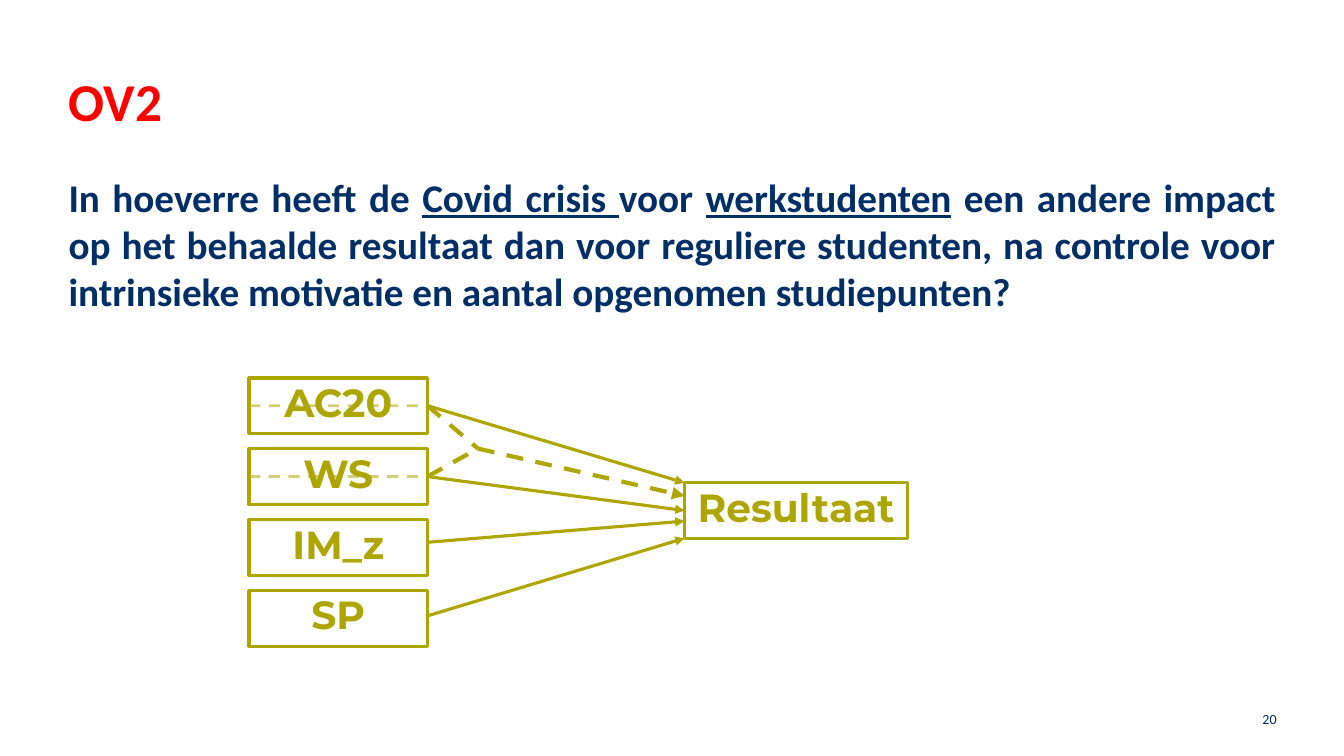
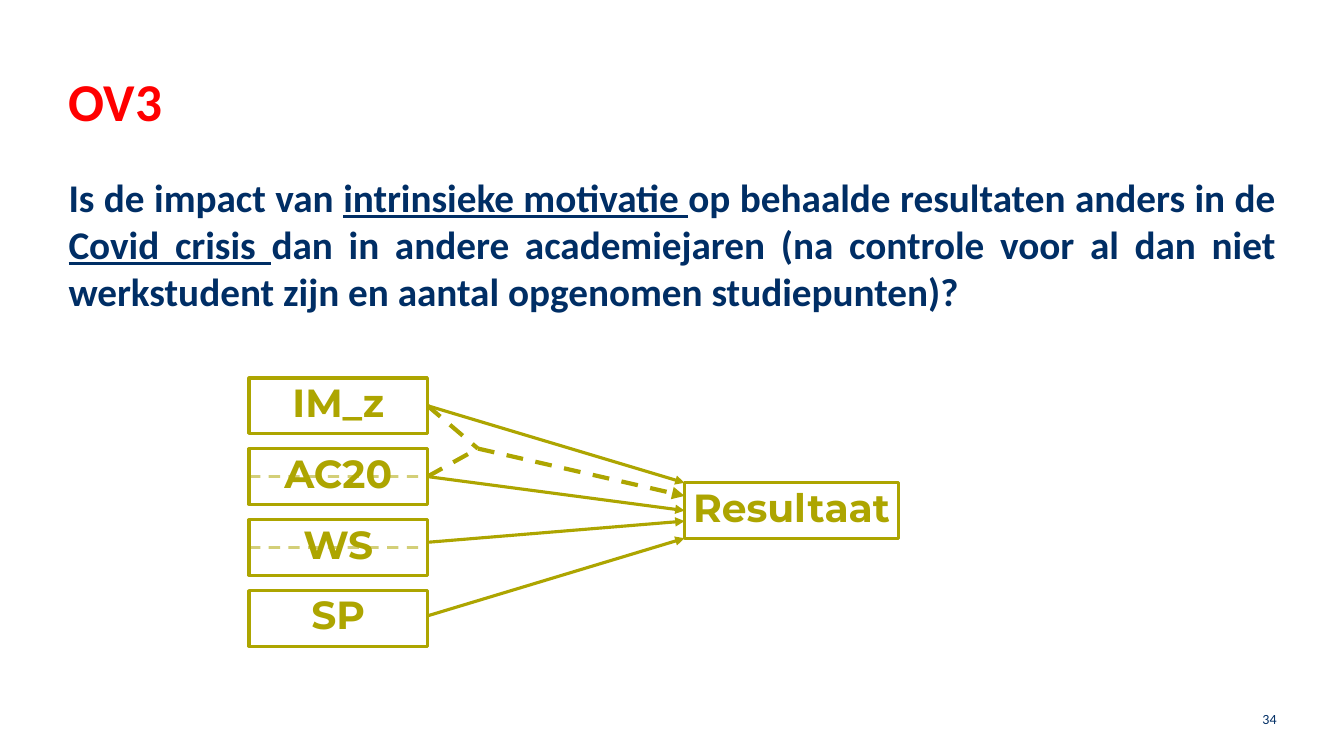
from lxml.etree import SubElement
from pptx import Presentation
from pptx.dml.color import RGBColor
from pptx.enum.dml import MSO_LINE
from pptx.enum.shapes import MSO_CONNECTOR, MSO_SHAPE
from pptx.enum.text import MSO_ANCHOR, MSO_AUTO_SIZE, PP_ALIGN
from pptx.oxml.ns import qn
from pptx.util import Inches, Pt

COLORS = {"title": "FF0000", "text": "002E65", "model": "ADA500", "background": "FFFFFF"}
LEFT_SIDE, RIGHT_SIDE = 1, 3

BOX_LEFT, BOX_WIDTH, BOX_HEIGHT = 2.47, 1.77, 0.55
FIRST_TOP, LAST_TOP = 3.75, 5.86
RESULT_LEFT, RESULT_TOP = 6.79, 4.79
BOX_RIGHT = BOX_LEFT + BOX_WIDTH
JUNCTION = (4.74, 4.45)

SLIDES = [
    {
        "title": "OV2",
        "number": "20",
        "question": [
            ("In hoeverre heeft de ", False),
            ("Covid crisis ", True),
            ("voor ", False),
            ("werkstudenten", True),
            (" een andere impact op het behaalde resultaat dan voor reguliere studenten, "
             "na controle voor intrinsieke motivatie en aantal opgenomen studiepunten?", False),
        ],
        "predictors": ["AC20", "WS", "IM_z", "SP"],
        "dichotomous": ["AC20", "WS"],
        "result_width": 2.21,
    },
    {
        "title": "OV3",
        "number": "34",
        "question": [
            ("Is de impact van ", False),
            ("intrinsieke motivatie ", True),
            ("op behaalde resultaten anders in de ", False),
            ("Covid crisis ", True),
            ("dan in andere academiejaren (na controle voor al dan niet "
             "werkstudent zijn en aantal opgenomen studiepunten)?", False),
        ],
        "predictors": ["IM_z", "AC20", "WS", "SP"],
        "dichotomous": ["AC20", "WS"],
        "result_width": 2.12,
    },
]


class Deck:
    def __init__(self):
        self.presentation = Presentation()
        self.presentation.slide_width = Inches(13.33)
        self.presentation.slide_height = Inches(7.5)
        self.slide = None

    def color(self, name):
        return RGBColor.from_string(COLORS[name])

    def add_slide(self, title):
        self.slide = self.presentation.slides.add_slide(self.presentation.slide_layouts[5])
        background = self.slide.background.fill
        background.solid()
        background.fore_color.rgb = self.color("background")
        shape = self.slide.shapes.title
        shape.left, shape.top = Inches(0.68), Inches(0.68)
        shape.width, shape.height = Inches(11.97), Inches(0.87)
        self.set_text(shape, [(title, False)], 38, "title")

    def set_text(self, shape, pieces, size, color, font="Calibri", bold=True,
                 align=PP_ALIGN.LEFT, anchor=MSO_ANCHOR.TOP, inset=0):
        frame = shape.text_frame
        frame.word_wrap = True
        frame.auto_size = MSO_AUTO_SIZE.NONE
        frame.vertical_anchor = anchor
        frame.margin_left = frame.margin_right = Inches(inset)
        frame.margin_top = frame.margin_bottom = Inches(inset / 2)
        paragraph = frame.paragraphs[0]
        paragraph.alignment = align
        for text, underlined in pieces:
            run = paragraph.add_run()
            run.text = text
            run.font.name = font
            run.font.size = Pt(size)
            run.font.bold = bold
            run.font.underline = underlined
            run.font.color.rgb = self.color(color)

    def add_text(self, left, top, width, height, pieces, size, **style):
        shape = self.slide.shapes.add_textbox(
            Inches(left), Inches(top), Inches(width), Inches(height))
        self.set_text(shape, pieces, size, "text", **style)

    def add_box(self, left, top, width, text):
        shape = self.slide.shapes.add_shape(
            MSO_SHAPE.RECTANGLE, Inches(left), Inches(top), Inches(width), Inches(BOX_HEIGHT))
        shape.shadow.inherit = False
        shape.fill.background()
        shape.line.color.rgb = self.color("model")
        shape.line.width = Pt(2.25)
        self.set_text(shape, [(text, False)], 28, "model", font="Montserrat",
                      align=PP_ALIGN.CENTER)
        return shape

    def add_line(self, start, end, width=2.25, dashed=False, arrow=False, opacity=None,
                 begin_shape=None, begin_side=RIGHT_SIDE, end_shape=None, end_side=LEFT_SIDE):
        connector = self.slide.shapes.add_connector(
            MSO_CONNECTOR.STRAIGHT, *(Inches(value) for value in (*start, *end)))
        if begin_shape is not None:
            connector.begin_connect(begin_shape, begin_side)
        if end_shape is not None:
            connector.end_connect(end_shape, end_side)
        line = connector.line
        line.color.rgb = self.color("model")
        line.width = Pt(width)
        if dashed:
            line.dash_style = MSO_LINE.DASH
        properties = connector.element.spPr
        outline = properties.find(qn("a:ln"))
        if opacity is not None:
            color = outline.find(".//" + qn("a:srgbClr"))
            SubElement(color, qn("a:alpha"), val=str(opacity * 1000))
        if arrow:
            SubElement(outline, qn("a:tailEnd"), type="triangle")
        SubElement(properties, qn("a:effectLst"))

    def add_model(self, predictors, dichotomous, result_width):
        step = (LAST_TOP - FIRST_TOP) / (len(predictors) - 1)
        tops = [FIRST_TOP + index * step for index in range(len(predictors))]
        middles = [top + BOX_HEIGHT / 2 for top in tops]
        boxes = [self.add_box(BOX_LEFT, top, BOX_WIDTH, name)
                 for top, name in zip(tops, predictors)]
        result = self.add_box(RESULT_LEFT, RESULT_TOP, result_width, "Resultaat")

        effects = [
            (middles[0], RESULT_TOP, boxes[0], None),
            (6.11, RESULT_TOP + BOX_HEIGHT, None, None),
            (middles[1], RESULT_TOP + BOX_HEIGHT / 2, boxes[1], result),
            (5.38, 5.17, None, None),
        ]
        for start, end, begin_shape, end_shape in effects:
            self.add_line((BOX_RIGHT, start), (RESULT_LEFT, end), arrow=True,
                          begin_shape=begin_shape, end_shape=end_shape)

        for box, middle in zip(boxes[:2], middles):
            self.add_line((BOX_RIGHT, middle), JUNCTION, width=3, dashed=True, begin_shape=box)
        self.add_line(JUNCTION, (RESULT_LEFT, 4.92), width=3, dashed=True, arrow=True)

        for name, box, middle in zip(predictors, boxes, middles):
            if name in dichotomous:
                self.add_line((BOX_LEFT, middle), (BOX_RIGHT, middle), width=2, dashed=True,
                              opacity=52, begin_shape=box, begin_side=LEFT_SIDE,
                              end_shape=box, end_side=RIGHT_SIDE)


def main():
    deck = Deck()
    for content in SLIDES:
        deck.add_slide(content["title"])
        deck.add_text(9.76, 6.93, 3, 0.4, [(content["number"], False)], 10, bold=False,
                      align=PP_ALIGN.RIGHT, anchor=MSO_ANCHOR.MIDDLE, inset=0.1)
        deck.add_text(0.68, 1.72, 11.97, 5.1, content["question"], 28, align=PP_ALIGN.JUSTIFY)
        deck.add_model(content["predictors"], content["dichotomous"], content["result_width"])
    deck.presentation.save("out.pptx")


if __name__ == "__main__":
    main()
